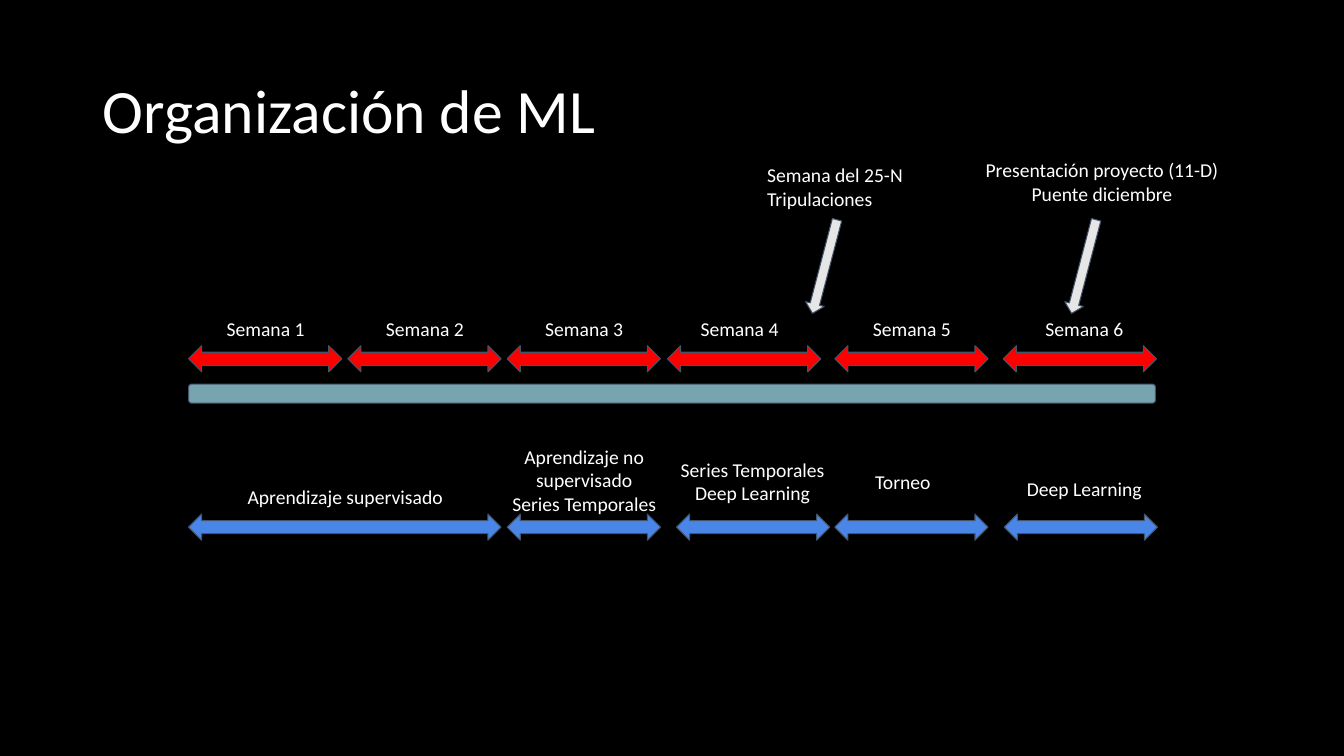
from pptx import Presentation
from pptx.dml.color import RGBColor
from pptx.enum import shapes, text
from pptx.util import Inches, Pt

FONT = "Calibri"
WHITE, BLACK, OUTLINE = "FFFFFF", "000000", "44546A"
RED, BLUE, TEAL, GREY = "FF0000", "4A86E8", "76A5AF", "E7E6E6"
SHAPE = shapes.MSO_SHAPE
ALIGN = text.PP_ALIGN

SPAN_WIDTH = 1.52
# Left edge of each week's arrow and of its label
WEEKS = [(1.87, 2.05), (3.45, 3.63), (5.03, 5.21),
         (6.62, 6.75), (8.28, 8.46), (9.95, 10.17)]
# Arrow left and width, then label text, left, top and width
TOPICS = [
    (1.87, 3.1, "Aprendizaje supervisado", 2.04, 4.71, 2.77),
    (5.03, SPAN_WIDTH, "Aprendizaje no supervisado\nSeries Temporales", 4.88, 4.31, 1.83),
    (6.71, SPAN_WIDTH, "Series Temporales\nDeep Learning", 6.55, 4.44, 1.83),
    (8.28, SPAN_WIDTH, "Torneo", 8.04, 4.56, 1.83),
    (9.96, SPAN_WIDTH, "Deep Learning", 9.84, 4.63, 1.83),
]
# Arrow left, then label text, left, top, width and alignment
MILESTONES = [
    (7.7, "Semana del 25-N Tripulaciones", 7.51, 1.52, 1.89, ALIGN.LEFT),
    (10.27, "Presentación proyecto (11-D)\nPuente diciembre", 9.62, 1.47, 2.62, ALIGN.CENTER),
]


def paint(color_format, value):
    color_format.rgb = RGBColor.from_string(value)


def style_text(frame, size, align):
    for paragraph in frame.paragraphs:
        paragraph.alignment = align
        for run in paragraph.runs:
            run.font.name = FONT
            run.font.size = Pt(size)
            paint(run.font.color, WHITE)


def add_title(page, words):
    title = page.shapes.title
    title.left, title.top = Inches(0.92), Inches(0.4)
    title.width, title.height = Inches(11.5), Inches(1.45)
    frame = title.text_frame
    frame.text = words
    frame.vertical_anchor = text.MSO_ANCHOR.MIDDLE
    frame.paragraphs[0].line_spacing = 0.9
    style_text(frame, 44, ALIGN.LEFT)


def add_label(page, words, left, top, width, height=0.39, align=ALIGN.CENTER):
    box = page.shapes.add_textbox(Inches(left), Inches(top), Inches(width), Inches(height))
    frame = box.text_frame
    frame.word_wrap = True
    frame.margin_left = frame.margin_right = Inches(0.1)
    frame.margin_top = frame.margin_bottom = Inches(0.1)
    frame.text = words
    style_text(frame, 14, align)


def add_outlined(page, kind, left, top, width, height, color):
    shape = page.shapes.add_shape(kind, Inches(left), Inches(top), Inches(width), Inches(height))
    shape.shadow.inherit = False
    shape.fill.solid()
    paint(shape.fill.fore_color, color)
    paint(shape.line.color, OUTLINE)
    shape.line.width = Pt(0.75)
    return shape


def add_span(page, left, top, width, color):
    """Add a double-headed arrow that covers a stretch of the timeline."""
    add_outlined(page, SHAPE.LEFT_RIGHT_ARROW, left, top, width, 0.26, color)


def main():
    deck = Presentation()
    deck.slide_width, deck.slide_height = Inches(13.33), Inches(7.5)
    page = deck.slides.add_slide(deck.slide_layouts[5])
    page.background.fill.solid()
    paint(page.background.fill.fore_color, BLACK)

    add_title(page, "Organización de ML")
    timeline = add_outlined(page, SHAPE.ROUNDED_RECTANGLE, 1.87, 3.81, 9.59, 0.19, TEAL)
    timeline.adjustments[0] = 0.17

    for number, (arrow_left, label_left) in enumerate(WEEKS, start=1):
        add_span(page, arrow_left, 3.43, SPAN_WIDTH, RED)
        add_label(page, f"Semana {number}", label_left, 3.04, 1.17)

    for arrow_left, arrow_width, words, left, top, width in TOPICS:
        add_span(page, arrow_left, 5.1, arrow_width, BLUE)
        add_label(page, words, left, top, width)

    for arrow_left, words, left, top, width, align in MILESTONES:
        pointer = add_outlined(page, SHAPE.RIGHT_ARROW, arrow_left, 2.55, 0.96, 0.19, GREY)
        pointer.rotation = 104.7
        add_label(page, words, left, top, width, 0.64, align)

    deck.save("out.pptx")


if __name__ == "__main__":
    main()
